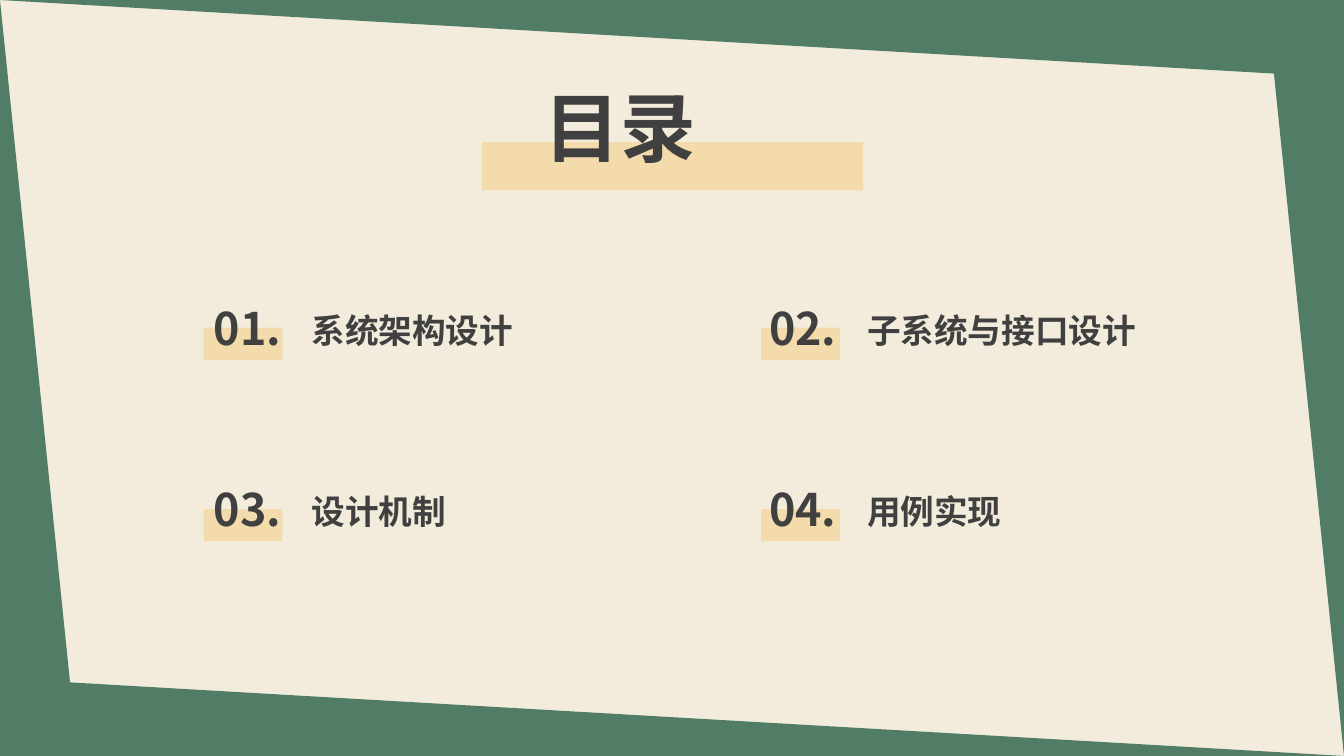
from dataclasses import dataclass

from lxml import etree
from pptx import Presentation
from pptx.dml.color import RGBColor
from pptx.enum import shapes, text
from pptx.oxml import ns
from pptx.util import Inches, Pt

CREAM = RGBColor(0xF3, 0xEC, 0xDC)
SAND = RGBColor(0xF3, 0xDB, 0xAB)
GREEN = RGBColor(0x51, 0x7D, 0x66)
CHARCOAL = RGBColor(0x40, 0x40, 0x40)
FONT = "Noto Sans CJK SC"

SLIDE_W, SLIDE_H = 13.33, 7.5
EDGE = 0.77
COLUMN_STEP, ROW_STEP = 5.51, 1.8


@dataclass(frozen=True)
class Box:
    left: float
    top: float
    width: float
    height: float

    def lengths(self) -> tuple:
        return tuple(Inches(v) for v in (self.left, self.top, self.width, self.height))

    def moved(self, dx: float, dy: float) -> "Box":
        return Box(self.left + dx, self.top + dy, self.width, self.height)


@dataclass(frozen=True)
class Border:
    box: Box
    rotation: int


@dataclass(frozen=True)
class Chapter:
    name: str
    column: int
    row: int
    width: float = 2.73


BORDERS = [
    Border(Box(0, 0, SLIDE_W, EDGE), 180),
    Border(Box(SLIDE_W - EDGE, 0, EDGE, SLIDE_H), 180),
    Border(Box(0, SLIDE_H - EDGE, SLIDE_W, EDGE), 0),
    Border(Box(0, 0, EDGE, SLIDE_H), 0),
]
CHAPTERS = [
    Chapter("系统架构设计", 0, 0),
    Chapter("子系统与接口设计", 1, 0, 3.18),
    Chapter("设计机制", 0, 1),
    Chapter("用例实现", 1, 1),
]


def add_block(slide, kind, box: Box, color: RGBColor, rotation: int = 0) -> None:
    block = slide.shapes.add_shape(kind, *box.lengths())
    block.shadow.inherit = False
    block.fill.solid()
    block.fill.fore_color.rgb = color
    block.line.fill.background()
    block.rotation = rotation


def write(holder, words: str, size: int, box: Box, align=text.PP_ALIGN.LEFT,
          spacing: float = 1.0) -> None:
    holder.left, holder.top, holder.width, holder.height = box.lengths()
    frame = holder.text_frame
    frame.word_wrap = True
    frame.auto_size = text.MSO_AUTO_SIZE.SHAPE_TO_FIT_TEXT
    frame.vertical_anchor = text.MSO_ANCHOR.TOP
    line = frame.paragraphs[0]
    line.alignment = align
    line.line_spacing = spacing
    line.space_before = Pt(0)
    run = line.add_run()
    run.text = words
    run.font.name = FONT
    run.font.size = Pt(size)
    run.font.bold = True
    run.font.color.rgb = CHARCOAL
    east_asian = etree.SubElement(run.font._element, ns.qn("a:ea"))
    east_asian.set("typeface", FONT)


def remove_bullet(holder) -> None:
    properties = holder.text_frame.paragraphs[0]._p.get_or_add_pPr()
    properties.set("marL", "0")
    properties.set("indent", "0")
    etree.SubElement(properties, ns.qn("a:buNone"))


def bring_to_front(holder) -> None:
    holder.element.getparent().append(holder.element)


def main() -> None:
    deck = Presentation()
    deck.slide_width, deck.slide_height = Inches(SLIDE_W), Inches(SLIDE_H)
    # The comparison layout has a title and four body placeholders
    slide = deck.slides.add_slide(deck.slide_layouts[4])
    title, *topics = list(slide.placeholders)
    slide.background.fill.solid()
    slide.background.fill.fore_color.rgb = CREAM

    # Green borders
    for border in BORDERS:
        add_block(slide, shapes.MSO_SHAPE.RIGHT_TRIANGLE, border.box, GREEN, border.rotation)

    # Title on its highlight
    add_block(slide, shapes.MSO_SHAPE.RECTANGLE, Box(4.78, 1.41, 3.78, 0.48), SAND)
    bring_to_front(title)
    write(title, "目录", 54, Box(5.3, 0.75, 2.74, 1.01), text.PP_ALIGN.JUSTIFY)

    # Numbered chapters
    for number, (chapter, topic) in enumerate(zip(CHAPTERS, topics), start=1):
        dx, dy = chapter.column * COLUMN_STEP, chapter.row * ROW_STEP
        highlight = Box(2.02 + 0.02 * chapter.column, 3.25, 0.78, 0.32)
        add_block(slide, shapes.MSO_SHAPE.RECTANGLE, highlight.moved(dx, dy), SAND)

        number_box = Box(2.02, 2.93, 0.9, 0.64).moved(dx, dy)
        label = slide.shapes.add_textbox(*number_box.lengths())
        write(label, f"{number:02}.", 32, number_box)

        bring_to_front(topic)
        write(topic, chapter.name, 24, Box(2.99, 2.82, chapter.width, 0.71).moved(dx, dy),
              spacing=1.5)
        remove_bullet(topic)

    deck.save("out.pptx")


if __name__ == "__main__":
    main()
